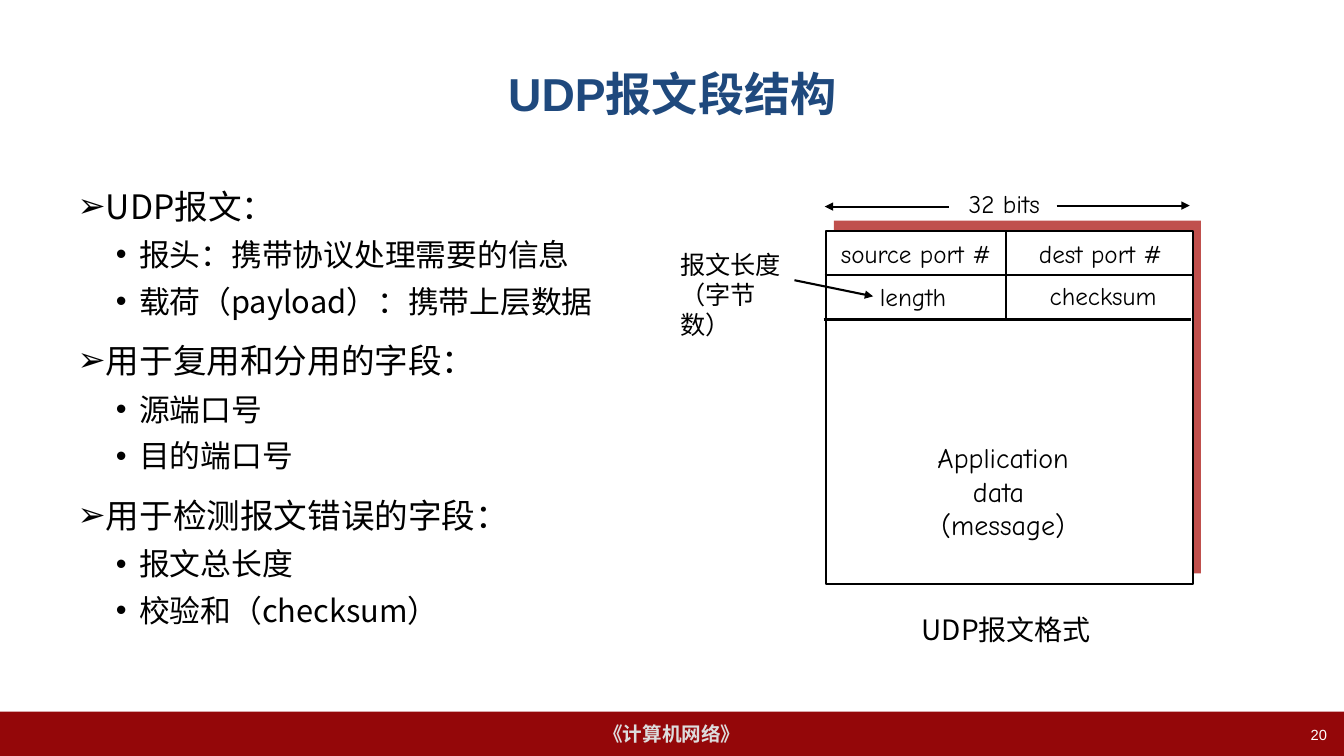
from lxml import etree
from pptx import Presentation
from pptx.dml.color import RGBColor
from pptx.enum.shapes import MSO_CONNECTOR, MSO_SHAPE
from pptx.enum.text import MSO_ANCHOR, MSO_AUTO_SIZE, PP_ALIGN
from pptx.oxml.ns import qn
from pptx.util import Inches, Pt

LEFT, CENTER, RIGHT = PP_ALIGN.LEFT, PP_ALIGN.CENTER, PP_ALIGN.RIGHT
MIDDLE, TOP = MSO_ANCHOR.MIDDLE, MSO_ANCHOR.TOP
NO_AUTOFIT = MSO_AUTO_SIZE.NONE
RECTANGLE, STRAIGHT = MSO_SHAPE.RECTANGLE, MSO_CONNECTOR.STRAIGHT

SANS, COMIC, CJK = "Arial", "Comic Neue", "Noto Sans CJK SC"
BLACK, WHITE = "000000", "FFFFFF"

OUTLINE = [
    ("UDP报文：", ["报头：携带协议处理需要的信息", "载荷（payload）：携带上层数据"]),
    ("用于复用和分用的字段：", ["源端口号", "目的端口号"]),
    ("用于检测报文错误的字段：", ["报文总长度", "校验和（checksum）"]),
]

FIELD_LABELS = [
    ("source port #", 8.17, 2.32, 1.83),
    ("dest port #", 10.12, 2.32, 1.59),
    ("32 bits", 9.44, 1.82, 1.04),
    ("length", 8.59, 2.74, 0.93),
    ("checksum", 10.28, 2.73, 1.32),
]

DIVIDERS = [
    ((8.18, 2.73), (11.82, 2.73)),
    ((8.17, 3.17), (11.81, 3.17)),
    ((9.98, 2.29), (9.98, 3.17)),
]

ARROWS = [
    ((10.48, 2.04), (11.8, 2.04)),
    ((9.41, 2.05), (8.18, 2.05)),
    ((7.88, 2.78), (8.66, 2.94)),
]


def color(value):
    return RGBColor.from_string(value)


def add_run(paragraph, text, font, size, fill, bold=False):
    run = paragraph.add_run()
    run.text = text
    run.font.size = Pt(size)
    run.font.bold = bold
    run.font.color.rgb = color(fill)
    run.font.name = font
    east_asian = etree.SubElement(run.font._element, qn("a:ea"))
    east_asian.set("typeface", CJK)


def place(shape, left, top, width, height):
    shape.left, shape.top = Inches(left), Inches(top)
    shape.width, shape.height = Inches(width), Inches(height)


def prepare_frame(shape, anchor=TOP, wrap=True):
    frame = shape.text_frame
    frame.auto_size = NO_AUTOFIT
    frame.word_wrap = wrap
    frame.vertical_anchor = anchor
    return frame


def add_label(slide, lines, box, font=COMIC, size=18, fill=BLACK,
              align=CENTER, wrap=False):
    shape = slide.shapes.add_textbox(*map(Inches, box))
    frame = prepare_frame(shape, wrap=wrap)
    for index, line in enumerate(lines):
        paragraph = frame.add_paragraph() if index else frame.paragraphs[0]
        paragraph.alignment = align
        add_run(paragraph, line, font, size, fill)


def add_rectangle(slide, box, fill, outline=None):
    shape = slide.shapes.add_shape(RECTANGLE, *map(Inches, box))
    shape.shadow.inherit = False
    shape.fill.solid()
    shape.fill.fore_color.rgb = color(fill)
    if outline:
        shape.line.color.rgb = color(outline)
        shape.line.width = Pt(1.5)
    else:
        shape.line.fill.background()
    return shape


def add_line(slide, start, end, arrow=False):
    connector = slide.shapes.add_connector(STRAIGHT, *map(Inches, start + end))
    connector.line.color.rgb = color(BLACK)
    connector.line.width = Pt(1.5)
    if arrow:
        line_element = connector.line._get_or_add_ln()
        etree.SubElement(line_element, qn("a:tailEnd")).set("type", "triangle")
    etree.SubElement(connector._element.spPr, qn("a:effectLst"))


def add_title(slide, text):
    title = slide.shapes.title
    place(title, 0.67, 0.3, 12, 1.25)
    paragraph = prepare_frame(title, MIDDLE).paragraphs[0]
    paragraph.alignment = CENTER
    add_run(paragraph, text, SANS, 33, "1F497D", bold=True)


def add_bullet(paragraph, text, level, first):
    bullet, margin, hanging, size, before = [
        ("➢", 0.28, 0.28, 24, 12),
        ("•", 0.61, 0.23, 22, 4.4),
    ][level]
    paragraph.level = level
    paragraph.alignment = LEFT
    paragraph.line_spacing = 1.1
    paragraph.space_before = Pt(0 if first else before)
    paragraph.space_after = Pt(0)
    properties = paragraph._p.get_or_add_pPr()
    properties.set("marL", str(Inches(margin)))
    properties.set("indent", str(-Inches(hanging)))
    etree.SubElement(properties, qn("a:buFont")).set("typeface", SANS)
    etree.SubElement(properties, qn("a:buChar")).set("char", bullet)
    add_run(paragraph, text, CJK, size, BLACK)


def add_outline(slide, outline):
    body = slide.placeholders[1]
    place(body, 0.67, 1.75, 12, 4.95)
    frame = prepare_frame(body)
    items = [(text, level) for heading, details in outline
             for text, level in [(heading, 0)] + [(detail, 1) for detail in details]]
    for index, (text, level) in enumerate(items):
        paragraph = frame.add_paragraph() if index else frame.paragraphs[0]
        add_bullet(paragraph, text, level, index == 0)


def add_footer(slide, text, number):
    bar = add_rectangle(slide, (0, 7.06, 13.33, 0.44), "940709")
    paragraph = prepare_frame(bar, MIDDLE, wrap=False).paragraphs[0]
    paragraph.alignment = CENTER
    add_run(paragraph, text, SANS, 14, "DDDDDD", bold=True)
    add_label(slide, [number], (10.15, 7.15, 3.11, 0.35), SANS, 10.5, WHITE,
              RIGHT, wrap=True)


def add_segment_diagram(slide):
    add_rectangle(slide, (8.27, 2.19, 3.64, 3.5), "C0504D")
    add_rectangle(slide, (8.19, 2.29, 3.64, 3.5), WHITE, BLACK)
    for start, end in DIVIDERS:
        add_line(slide, start, end)
    for text, left, top, width in FIELD_LABELS:
        add_label(slide, [text], (left, top, width, 0.4))
    add_label(slide, ["Application", "data ", "(message)"],
              (9.13, 4.32, 1.64, 1.1), size=20)
    add_label(slide, ["UDP报文格式"], (9.02, 6.03, 1.92, 0.77), CJK, 20, wrap=True)
    add_label(slide, ["报文长度（字节数）"], (6.65, 2.42, 1.44, 1), CJK,
              align=LEFT, wrap=True)
    for start, end in ARROWS:
        add_line(slide, start, end, arrow=True)


def main():
    presentation = Presentation()
    presentation.slide_width = Inches(13.33)
    presentation.slide_height = Inches(7.5)
    slide = presentation.slides.add_slide(presentation.slide_layouts[1])
    add_title(slide, "UDP报文段结构")
    add_outline(slide, OUTLINE)
    add_footer(slide, "《计算机网络》", "20")
    add_segment_diagram(slide)
    presentation.save("out.pptx")


if __name__ == "__main__":
    main()
